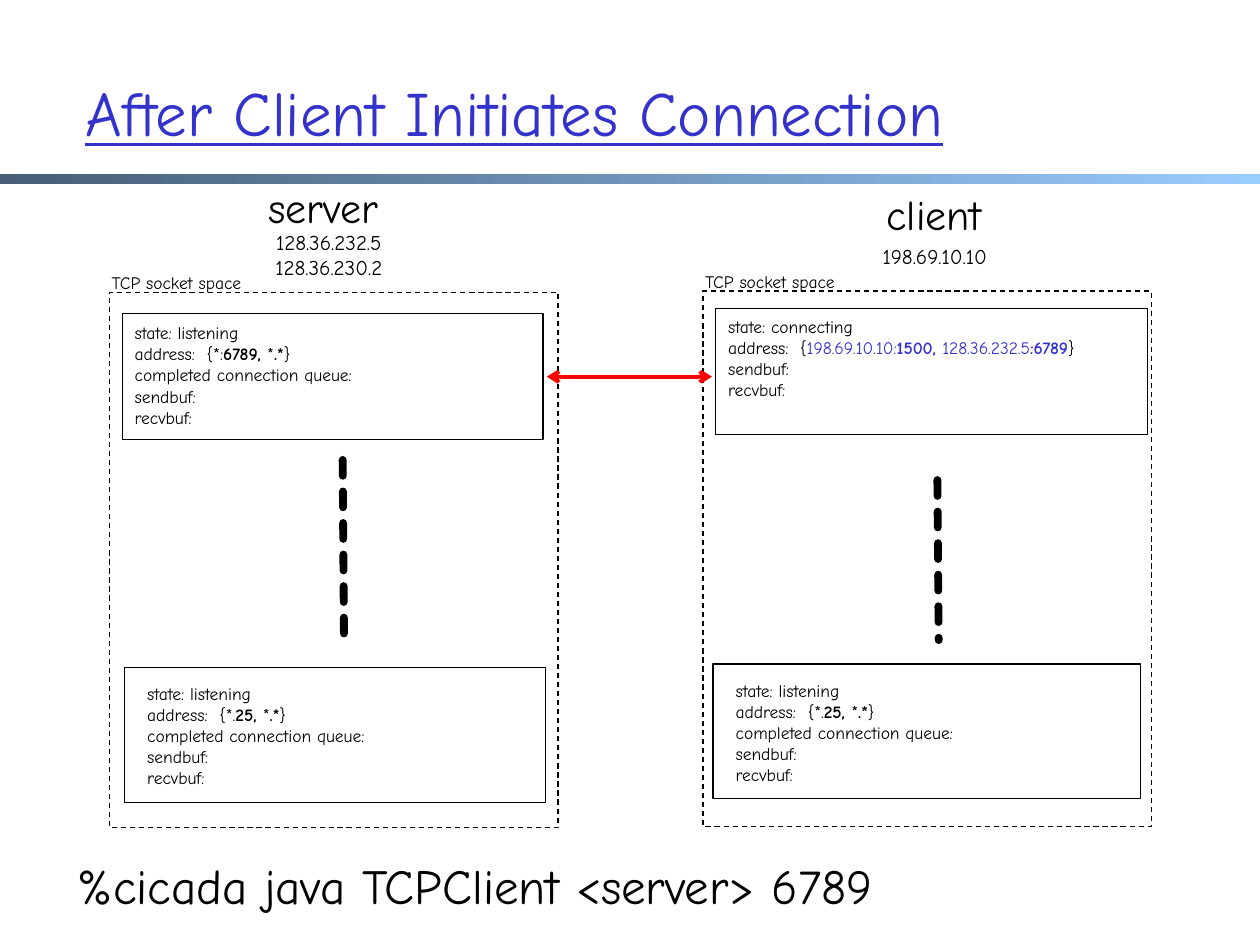
from lxml import etree
from pptx import Presentation
from pptx.dml.color import RGBColor
from pptx.enum.dml import MSO_LINE
from pptx.enum.shapes import MSO_CONNECTOR, MSO_SHAPE
from pptx.enum.text import MSO_ANCHOR, MSO_AUTO_SIZE, PP_ALIGN
from pptx.oxml.ns import qn
from pptx.util import Inches, Pt

COLORS = {"ink": "000000", "accent": "3333CC", "arrow": "FF0000",
          "bar_start": "475E76", "bar_end": "99CCFF"}
FONT = "Comic Neue"


def color(name):
    return RGBColor.from_string(COLORS[name])


def place(box, left, top, width, height):
    """Return a box whose position is relative to the given box."""
    return box[0] + left, box[1] + top, width, height


def add_text(slide, box, lines, size, align=PP_ALIGN.LEFT, wrap=False,
             anchor=MSO_ANCHOR.TOP, ink="ink", underline=None,
             auto_size=MSO_AUTO_SIZE.SHAPE_TO_FIT_TEXT):
    """Each line is a string or a list of (text, format values) runs."""
    shape = slide.shapes.add_textbox(*map(Inches, box))
    frame = shape.text_frame
    frame_format = {"word_wrap": wrap, "auto_size": auto_size,
                    "vertical_anchor": anchor}
    for name, value in frame_format.items():
        setattr(frame, name, value)
    for index, line in enumerate(lines):
        paragraph = frame.add_paragraph() if index else frame.paragraphs[0]
        paragraph.alignment = align
        for text, changes in [(line, {})] if isinstance(line, str) else line:
            run = paragraph.add_run()
            run.text = text
            values = {"name": FONT, "size": Pt(size), "bold": False,
                      "underline": underline, "ink": ink} | changes
            run.font.color.rgb = color(values.pop("ink"))
            for name, value in values.items():
                setattr(run.font, name, value)


def add_outline(slide, box, dash=None):
    shape = slide.shapes.add_shape(MSO_SHAPE.RECTANGLE, *map(Inches, box))
    shape.shadow.inherit = False
    shape.fill.background()
    shape.line.color.rgb = color("ink")
    shape.line.width = Pt(0.75)
    shape.line.dash_style = dash


def add_line(slide, start, end, ink, width):
    """Add a shadowless line and return it with its a:ln element."""
    line = slide.shapes.add_connector(
        MSO_CONNECTOR.STRAIGHT, *map(Inches, (*start, *end)))
    line.line.color.rgb = color(ink)
    line.line.width = Pt(width)
    properties = line._element.spPr
    etree.SubElement(properties, qn("a:effectLst"))
    return line, properties.find(qn("a:ln"))


def add_dots(slide, box, start, end):
    points = [(box[0] + x, box[1] + y) for x, y in (start, end)]
    line, outline = add_line(slide, *points, "ink", 4.5)
    line.line.dash_style = MSO_LINE.SQUARE_DOT
    outline.set("cap", "rnd")


def add_arrow(slide, start, end):
    outline = add_line(slide, start, end, "arrow", 2.25)[1]
    for tag in ("a:headEnd", "a:tailEnd"):
        etree.SubElement(outline, qn(tag)).set("type", "arrow")


def add_title(slide, box):
    # Gradient bar below the title
    bar = slide.shapes.add_shape(
        MSO_SHAPE.RECTANGLE, *map(Inches, (0, 1.38, 10, 0.08)))
    bar.shadow.inherit = False
    bar.line.fill.background()
    bar.fill.gradient()
    bar.fill.gradient_angle = 0
    for stop, name, position in zip(bar.fill.gradient_stops,
                                    ("bar_start", "bar_end"), (0, 1)):
        stop.color.rgb = color(name)
        stop.position = position
    add_text(slide, box, ["After Client Initiates Connection"], 36, wrap=True,
             anchor=MSO_ANCHOR.MIDDLE, ink="accent", underline=True,
             auto_size=MSO_AUTO_SIZE.NONE)


def add_socket(slide, box, lines, text_box):
    add_outline(slide, box)
    add_text(slide, place(box, *text_box), lines, 10)


def add_host(slide, box, host):
    """Draw a host's heading, addresses and socket space."""
    center = PP_ALIGN.CENTER
    add_text(slide, place(box, *host["name_box"]), [host["name"]], 24,
             align=center, anchor=MSO_ANCHOR.MIDDLE)
    add_text(slide, place(box, *host["address_box"]), host["addresses"], 12,
             align=center)
    add_outline(slide, box, MSO_LINE.DASH)
    add_text(slide, place(box, -0.13, -0.21, 1.32, 0.27),
             ["TCP socket space"], 10, align=center)
    for socket_box, lines, text_box in host["sockets"]:
        add_socket(slide, place(box, *socket_box), lines, text_box)
    add_dots(slide, box, *host["dots"])


def listening(prefix, port):
    bold = {"bold": True}
    address = [("address:  {" + prefix, {}), (port + ", ", bold),
               ("*", {}), (".*", bold), ("}", {})]
    return ["state: listening", address, "completed connection queue:",
            "sendbuf:", "recvbuf:"]


BLUE = {"ink": "accent"}
BLUE_BOLD = BLUE | {"bold": True}
CONNECTING = [
    "state: connecting",
    [("address:  {", {}), ("198.69.10.10:", BLUE), ("1500, ", BLUE_BOLD),
     ("128.36.232.5", BLUE), (":6789", BLUE_BOLD), ("}", {})],
    "sendbuf:", "recvbuf:"]

# Boxes are relative to the host's socket space, text boxes to their socket
SERVER = {
    "name": "server", "name_box": (1.09, -0.93, 1.21, 0.5),
    "addresses": ["128.36.232.5", "128.36.230.2"],
    "address_box": (1.13, -0.55, 1.22, 0.5),
    "sockets": [
        ((0.1, 0.17, 3.34, 1), listening("*:", "6789"), (0, 0.02, 2.05, 0.93)),
        ((0.12, 2.98, 3.34, 1.07), listening("*.", "25"),
         (0.08, 0.07, 2.05, 0.93))],
    "dots": ((1.85, 1.33), (1.86, 2.72))}
CLIENT = {
    "name": "client", "name_box": (1.3, -0.86, 1.07, 0.5),
    "addresses": ["198.69.10.10"],
    "address_box": (1.26, -0.43, 1.16, 0.3),
    "sockets": [
        ((0.1, 0.14, 3.43, 1), CONNECTING, (0, 0.01, 3.49, 0.77)),
        ((0.08, 2.96, 3.39, 1.07), listening("*.", "25"),
         (0.08, 0.08, 2.05, 0.93))],
    "dots": ((1.86, 1.5), (1.87, 2.77))}


def main():
    presentation = Presentation()
    presentation.slide_width = Inches(10)
    presentation.slide_height = Inches(7.5)
    slide = presentation.slides.add_slide(presentation.slide_layouts[6])
    add_title(slide, (0.58, 0.26, 8.81, 1.25))
    add_host(slide, (0.87, 2.32, 3.56, 4.25), SERVER)
    add_host(slide, (5.58, 2.31, 3.56, 4.25), CLIENT)
    # Connection between the two sockets
    add_arrow(slide, (5.65, 2.99), (4.34, 2.99))
    # Command that starts the client
    add_text(slide, (0.52, 6.74, 8.53, 0.57),
             ["%cicada java TCPClient <server> 6789"], 28, wrap=True)
    presentation.save("out.pptx")


if __name__ == "__main__":
    main()
